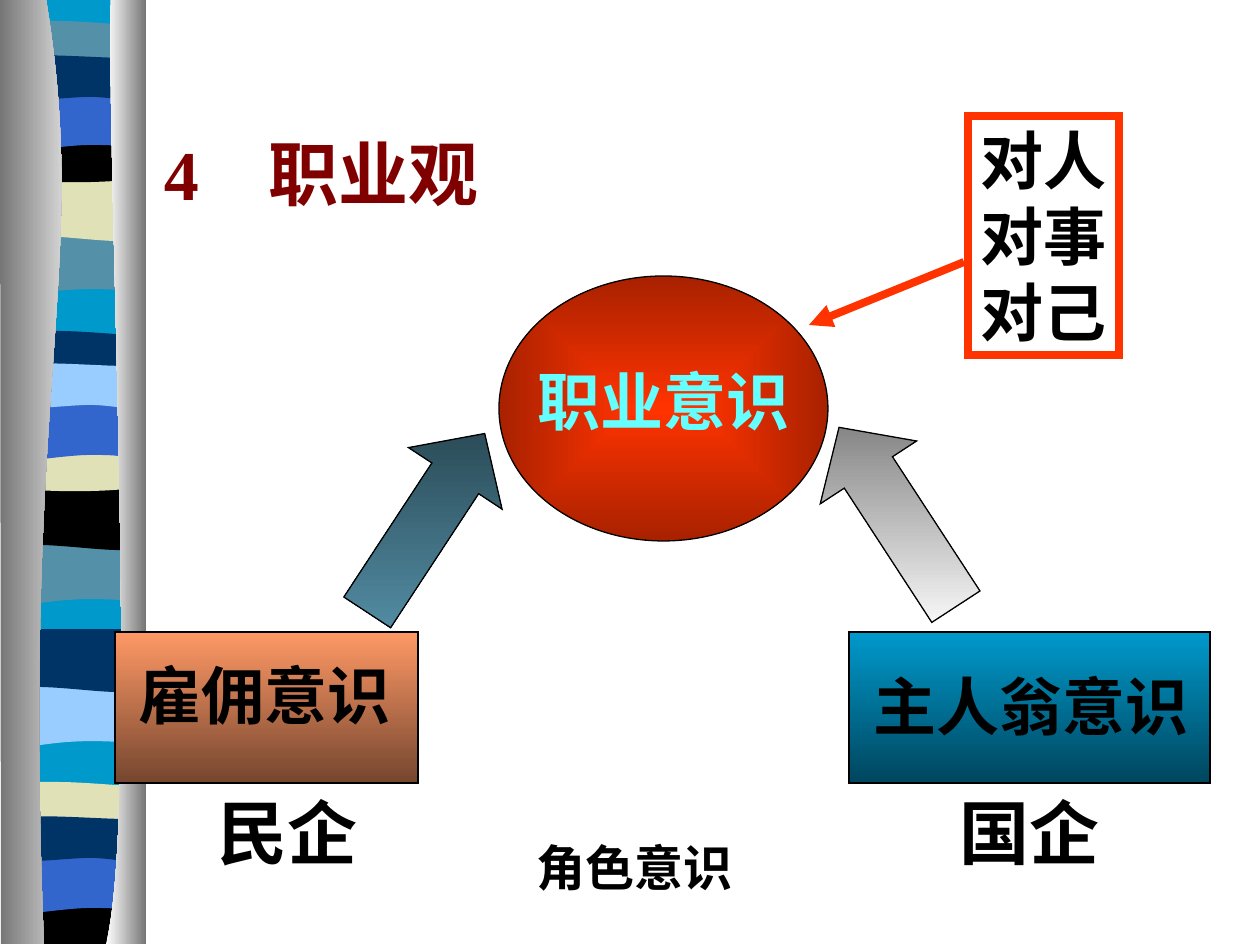
from dataclasses import dataclass

from lxml import etree
from pptx import Presentation
from pptx.dml.color import RGBColor
from pptx.enum.shapes import MSO_CONNECTOR, MSO_SHAPE
from pptx.enum.text import MSO_ANCHOR, MSO_AUTO_SIZE, PP_ALIGN
from pptx.oxml.ns import qn
from pptx.util import Pt

PX = 914400 / 126
ELLIPSE, RECTANGLE, UP_ARROW = MSO_SHAPE.OVAL, MSO_SHAPE.RECTANGLE, MSO_SHAPE.UP_ARROW
LEFT, CENTER = PP_ALIGN.LEFT, PP_ALIGN.CENTER
TOP, BOTTOM = MSO_ANCHOR.TOP, MSO_ANCHOR.BOTTOM
FIT_SHAPE, NO_FIT = MSO_AUTO_SIZE.SHAPE_TO_FIT_TEXT, MSO_AUTO_SIZE.NONE
DOWNWARD, RIGHTWARD = 270, 0


@dataclass(frozen=True)
class Theme:
    serif: str = "Times New Roman"
    narrow: str = "Arial Narrow"
    title_size: int = 40
    box_size: int = 36
    note_size: int = 28
    black: str = "000000"
    maroon: str = "800000"
    cyan: str = "66FFFF"
    red: str = "FF3300"
    sky: str = "0099CC"
    steel: str = "5490A8"
    sand: str = "E1E1B7"
    royal: str = "3366CC"
    navy: str = "003366"
    pale: str = "99CCFF"
    silver: tuple = ("767676", "FFFFFF")
    ball: tuple = ("FF3300", "A82100")
    ocean: tuple = ("0099CC", "00465E")
    copper: tuple = ("FF9966", "75462F")
    grey_arrow: tuple = ("757575", "FFFFFF")
    teal_arrow: tuple = ("26424D", "5490A8")


THEME = Theme()

# Band outlines: two numbers are a corner, six are a cubic curve
OUTLINES = {
    "wave": [(136, 0), (136, 59), (41, 49, 23, 69, 0, 59), (0, 0)],
    "swell": [(136, 0), (136, 60), (113, 70, 42, 52, 0, 60), (0, 0)],
    "lens": [(136, 6), (136, 36), (113, 42, 23, 42, 0, 36), (0, 6),
             (8, 0, 29, 1, 52, 1), (75, 1, 118, 5, 136, 6)],
    "sag": [(136, 0), (136, 41), (113, 48, 23, 48, 0, 41), (0, 0),
            (83, 6, 107, 0, 136, 0)],
    "arch": [(136, 0), (136, 59), (115, 52, 106, 52, 83, 52),
             (60, 52, 20, 59, 0, 59), (0, 0)],
    "ripple": [(136, 6), (136, 45), (127, 52, 106, 45, 83, 45),
               (60, 45, 14, 52, 0, 45), (0, 6), (19, 0, 92, 6, 115, 6),
               (137, 6, 132, 6, 136, 6)],
    "foot": [(136, 0), (136, 47), (0, 47), (0, 0), (83, 6, 107, 0, 136, 0)],
    "backdrop": [(136, 0), (136, 942), (0, 942), (0, 0)],
}
# Outline, top edge and colour, from back to front
BANDS = [
    ("backdrop", -1, THEME.sky),
    ("wave", 233, THEME.steel), ("swell", 178, THEME.sand),
    ("lens", 20, THEME.steel), ("sag", 136, THEME.black),
    ("arch", 93, THEME.royal), ("ripple", 52, THEME.navy),
    ("wave", 543, THEME.steel), ("swell", 487, THEME.black),
    ("lens", 330, THEME.navy), ("sag", 445, THEME.sand),
    ("arch", 403, THEME.royal), ("ripple", 360, THEME.pale),
    ("wave", 685, THEME.pale), ("swell", 629, THEME.navy),
    ("lens", 781, THEME.sand), ("foot", 897, THEME.black),
    ("arch", 856, THEME.royal), ("ripple", 813, THEME.navy),
]
LEFT_COLUMN = [(46, -1), (91, 272, 21, 373, 44, 944), (1, 944), (0, -1)]
RIGHT_COLUMN = [(111, -1), (106, 158, 140, 814, 106, 944), (146, 944), (146, 0)]


def emu(length):
    return round(length * PX)


def color(value):
    return RGBColor.from_string(value)


def set_values(target, **values):
    for name, value in values.items():
        setattr(target, name, value)


def paint(shape, fill=None, angle=DOWNWARD, line=None, width=0.75):
    """Fill with one colour, a pair of gradient colours, or nothing."""
    shape.shadow.inherit = False
    if fill is None:
        shape.fill.background()
    elif isinstance(fill, tuple):
        shape.fill.gradient()
        shape.fill.gradient_angle = angle
        for position, (stop, value) in enumerate(zip(shape.fill.gradient_stops, fill)):
            stop.color.rgb = color(value)
            stop.position = position
        shape._element.spPr.find(qn("a:gradFill")).set("rotWithShape", "0")
    else:
        shape.fill.solid()
        shape.fill.fore_color.rgb = color(fill)
    if line:
        shape.line.color.rgb = color(line)
        shape.line.width = Pt(width)
        etree.SubElement(shape.line._get_or_add_ln(), qn("a:miter"), lim="800000")
    else:
        shape.line.fill.background()


def make_gradient_central(shape):
    gradient = shape._element.spPr.find(qn("a:gradFill"))
    gradient.remove(gradient.find(qn("a:lin")))
    central = etree.SubElement(gradient, qn("a:path"), path="rect")
    etree.SubElement(central, qn("a:fillToRect"),
                     {side: "50000" for side in "ltrb"})


def bend(shape, outline):
    """Join the three segments that stand for each curve into one cubic."""
    segments = iter(list(shape._element.spPr.iter(qn("a:lnTo"))))
    for part in outline[1:]:
        segment = next(segments)
        if len(part) == 6:
            segment.tag = qn("a:cubicBezTo")
            for _ in range(2):
                extra = next(segments)
                segment.append(extra[0])
                extra.getparent().remove(extra)


def add_outline(slide, outline, fill, left=0, top=0):
    points = [(emu(part[i] + left), emu(part[i + 1] + top))
              for part in outline for i in range(0, len(part), 2)]
    builder = slide.shapes.build_freeform(*points[0], scale=1.0)
    builder.add_line_segments(points[1:], close=True)
    shape = builder.convert_to_shape()
    bend(shape, outline)
    paint(shape, fill, RIGHTWARD)


def add_figure(slide, kind, box, fill=None, line=THEME.black, width=0.75):
    shape = slide.shapes.add_shape(kind, *map(emu, box))
    paint(shape, fill, line=line, width=width)
    return shape


def add_arrow(slide, box, fill, rotation, head):
    arrow = add_figure(slide, UP_ARROW, box, fill)
    arrow.rotation = rotation
    arrow.adjustments[0], arrow.adjustments[1] = 0.5, head


def write(shape, lines, size, font=THEME.narrow, ink=THEME.black, align=LEFT,
          wrap=True, anchor=TOP, inset=13, right=13, fit=FIT_SHAPE, tab=None):
    frame = shape.text_frame
    frame.text = "\n".join(lines)
    set_values(frame, word_wrap=wrap, auto_size=fit, vertical_anchor=anchor,
               margin_left=emu(inset), margin_right=emu(right),
               margin_top=emu(6), margin_bottom=emu(6))
    for paragraph in frame.paragraphs:
        paragraph.alignment = align
        if tab:
            tabs = etree.SubElement(paragraph._p.get_or_add_pPr(), qn("a:tabLst"))
            etree.SubElement(tabs, qn("a:tab"), pos=str(emu(tab)), algn="l")
        for run in paragraph.runs:
            set_values(run.font, name=font, size=Pt(size), bold=True)
            run.font.color.rgb = color(ink)


def add_label(slide, text, box, size, **style):
    write(slide.shapes.add_textbox(*map(emu, box)), [text], size, **style)


def add_pointer(slide, start, end):
    pointer = slide.shapes.add_connector(
        MSO_CONNECTOR.STRAIGHT, *map(emu, (*start, *end)))
    pointer.line.color.rgb = color(THEME.red)
    pointer.line.width = Pt(4.5)
    etree.SubElement(pointer.line._get_or_add_ln(), qn("a:tailEnd"), type="triangle")
    etree.SubElement(pointer._element.spPr, qn("a:effectLst"))


def main():
    presentation = Presentation()
    presentation.slide_width, presentation.slide_height = emu(1260), emu(945)
    slide = presentation.slides.add_slide(presentation.slide_layouts[6])

    # Striped ribbon between two silver columns
    for outline, top, fill in BANDS:
        add_outline(slide, OUTLINES[outline], fill, left=7, top=top)
    add_outline(slide, LEFT_COLUMN, THEME.silver)
    add_outline(slide, RIGHT_COLUMN, THEME.silver[::-1])

    # Central idea and the two boxes that feed it
    ball = add_figure(slide, ELLIPSE, (499, 276, 329, 265), THEME.ball)
    make_gradient_central(ball)
    add_figure(slide, RECTANGLE, (849, 632, 361, 151), THEME.ocean)
    add_figure(slide, RECTANGLE, (115, 632, 303, 151), THEME.copper)
    add_arrow(slide, (840, 410, 115, 214), THEME.grey_arrow, 326.9, 0.468)
    add_arrow(slide, (370, 416, 112, 214), THEME.teal_arrow, 33.3, 0.479)

    # Title and labels
    add_label(slide, "4\t职业观", (57, 62, 1043, 158), THEME.title_size,
              font=THEME.serif, ink=THEME.maroon, anchor=BOTTOM,
              inset=107, fit=NO_FIT, tab=105)
    add_label(slide, "国企", (849, 784, 361, 97), THEME.title_size, align=CENTER)
    add_label(slide, "民企", (136, 784, 303, 97), THEME.title_size, align=CENTER)
    add_label(slide, "雇佣意识", (126, 651, 284, 88), THEME.box_size)
    add_label(slide, "主人翁意识", (860, 662, 347, 88), THEME.box_size)
    add_label(slide, "职业意识", (525, 357, 284, 88), THEME.box_size, ink=THEME.cyan)

    # Framed list pointing at the central idea
    add_pointer(slide, (964, 262), (809, 325))
    frame = add_figure(slide, RECTANGLE, (968, 116, 151, 239), line=THEME.red, width=4.5)
    write(frame, ["对人", "对事", "对己"], THEME.box_size, font=THEME.serif,
          wrap=False, right=8)
    add_label(slide, "角色意识", (524, 831, 221, 72), THEME.note_size,
              font=THEME.serif, wrap=False, right=8)

    presentation.save("out.pptx")


if __name__ == "__main__":
    main()
